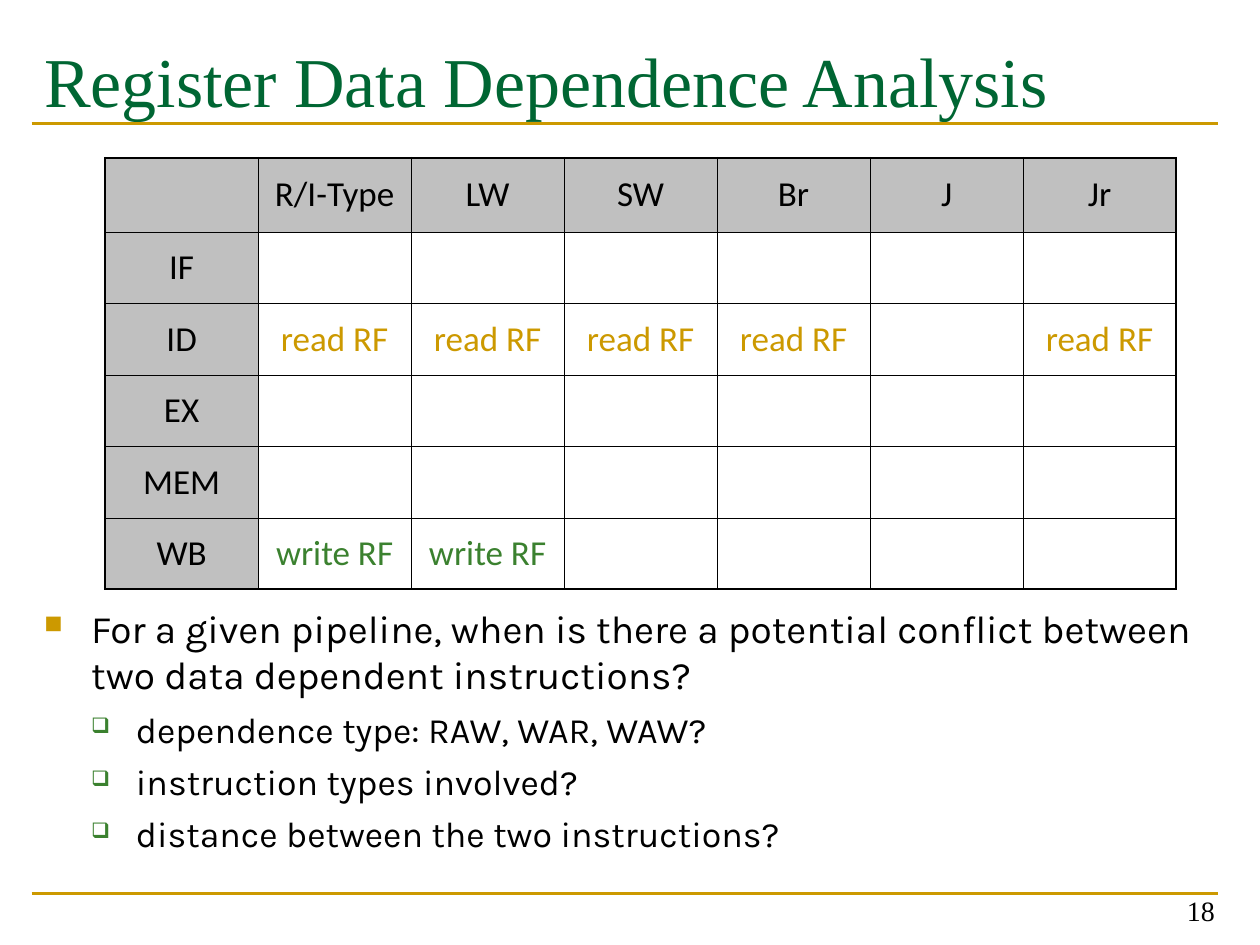
from lxml import etree
from pptx import Presentation
from pptx.dml.color import RGBColor
from pptx.enum import shapes, text
from pptx.oxml import ns
from pptx.util import Cm, Pt

GOLD = RGBColor(0xCC, 0x99, 0x00)
DARK_GREEN = RGBColor(0x00, 0x66, 0x33)
GREEN = RGBColor(0x3B, 0x81, 0x2F)
GREY = RGBColor(0xC0, 0xC0, 0xC0)
BLACK = RGBColor(0, 0, 0)

INSTRUCTIONS = ["", "R/I-Type", "LW", "SW", "Br", "J", "Jr"]
STAGES = ["IF", "ID", "EX", "MEM", "WB"]
READ, WRITE = "read RF", "write RF"
ACCESSES = {
    "ID": {name: READ for name in ("R/I-Type", "LW", "SW", "Br", "Jr")},
    "WB": {name: WRITE for name in ("R/I-Type", "LW")},
}
ACCESS_COLORS = {READ: GOLD, WRITE: GREEN}
QUESTION = ("For a given pipeline, when is there a potential conflict "
            "between two data dependent instructions?")
DETAILS = [
    "dependence type: RAW, WAR, WAW?",
    "instruction types involved?",
    "distance between the two instructions?",
]


def style_font(font, name, size, color):
    font.name = name
    font.size = Pt(size)
    font.color.rgb = color


def add_text_box(slide, left, top, width, height):
    shape = slide.shapes.add_textbox(Cm(left), Cm(top), Cm(width), Cm(height))
    shape.text_frame.word_wrap = True
    return shape.text_frame


def add_rule(slide, left, top, width):
    line = slide.shapes.add_connector(
        shapes.MSO_CONNECTOR.STRAIGHT,
        Cm(left), Cm(top), Cm(left + width), Cm(top))
    line.line.color.rgb = GOLD
    line.line.width = Pt(1.5)
    etree.SubElement(line._element.spPr, ns.qn("a:effectLst"))


def add_title(slide, left, top, width, height):
    frame = add_text_box(slide, left, top, width, height)
    frame.margin_top = Cm(0.32)
    frame.text = "Register Data Dependence Analysis"
    style_font(frame.paragraphs[0].runs[0].font, "Times New Roman", 40, DARK_GREEN)
    add_rule(slide, left, top + 2.06, width)


def set_border(cell, side, width):
    border = etree.SubElement(
        cell._tc.get_or_add_tcPr(), ns.qn(f"a:ln{side}"), w=str(Pt(width)))
    fill = etree.SubElement(border, ns.qn("a:solidFill"))
    etree.SubElement(fill, ns.qn("a:srgbClr"), val=str(BLACK))


def fill_cell(cell, label, is_header, outer_sides):
    for side in "LRTB":
        set_border(cell, side, 1.08 if side in outer_sides else 0.45)
    if is_header:
        cell.fill.solid()
        cell.fill.fore_color.rgb = GREY
    else:
        cell.fill.background()
    cell.vertical_anchor = text.MSO_ANCHOR.MIDDLE
    cell.text_frame.text = label
    paragraph = cell.text_frame.paragraphs[0]
    paragraph.alignment = text.PP_ALIGN.CENTER
    style_font(paragraph.font, "Calibri", 20, BLACK)
    for run in paragraph.runs:
        style_font(run.font, "Calibri", 20, ACCESS_COLORS.get(label, BLACK))


def add_access_table(slide, left, top, width, height):
    rows = [INSTRUCTIONS]
    for stage in STAGES:
        accesses = ACCESSES.get(stage, {})
        rows.append([stage] + [accesses.get(name, "") for name in INSTRUCTIONS[1:]])
    last_row, last_column = len(rows) - 1, len(INSTRUCTIONS) - 1
    table = slide.shapes.add_table(
        len(rows), len(INSTRUCTIONS), Cm(left), Cm(top), Cm(width), Cm(height)).table
    table.first_row = table.horz_banding = False
    header_height = 1.5
    for index, row in enumerate(table.rows):
        row.height = Cm((height - header_height) / last_row if index else header_height)
    for row_index, labels in enumerate(rows):
        for column_index, label in enumerate(labels):
            edges = {"L": column_index == 0, "R": column_index == last_column,
                     "T": row_index == 0, "B": row_index == last_row}
            outer_sides = [side for side, is_outer in edges.items() if is_outer]
            fill_cell(table.cell(row_index, column_index), label,
                      row_index == 0 or column_index == 0, outer_sides)


def add_bullet(paragraph, symbol, color, percent, left, hanging):
    properties = paragraph._p.get_or_add_pPr()
    properties.set("marL", str(Cm(left)))
    properties.set("indent", str(-Cm(hanging)))
    bullet_color = etree.SubElement(properties, ns.qn("a:buClr"))
    etree.SubElement(bullet_color, ns.qn("a:srgbClr"), val=str(color))
    etree.SubElement(properties, ns.qn("a:buSzPct"), val=str(percent * 1000))
    etree.SubElement(properties, ns.qn("a:buChar"), char=symbol)


def add_questions(slide, left, top, width, height):
    frame = add_text_box(slide, left, top, width, height)
    frame.text = QUESTION
    question = frame.paragraphs[0]
    add_bullet(question, "■", GOLD, 65, 0.95, 0.95)
    style_font(question.runs[0].font, "Karla", 22.2, BLACK)
    for detail in DETAILS:
        paragraph = frame.add_paragraph()
        paragraph.text = detail
        paragraph.level = 1
        paragraph.space_before = Pt(5.5)
        add_bullet(paragraph, "❑", GREEN, 60, 1.85, 0.9)
        style_font(paragraph.runs[0].font, "Karla", 20.4, BLACK)


def add_footer(slide, left, top, width, height):
    add_rule(slide, left, top + 0.46, width)
    number_width = 5.92
    frame = add_text_box(
        slide, left + width + 0.18 - number_width, top, number_width, height)
    frame.vertical_anchor = text.MSO_ANCHOR.BOTTOM
    frame.text = "18"
    frame.paragraphs[0].alignment = text.PP_ALIGN.RIGHT
    style_font(frame.paragraphs[0].runs[0].font, "Times New Roman", 16, BLACK)


def main():
    presentation = Presentation()
    presentation.slide_width = Cm(25.4)
    presentation.slide_height = Cm(19.05)
    slide = presentation.slides.add_slide(presentation.slide_layouts[6])
    left, width = 0.64, 23.92
    add_title(slide, left, 0.43, width, 2.97)
    add_access_table(slide, 2.12, 3.18, 21.59, 8.7)
    add_questions(slide, left, 12.06, width, 5.14)
    add_footer(slide, left, 17.55, width, 1.27)
    presentation.save("out.pptx")


if __name__ == "__main__":
    main()
